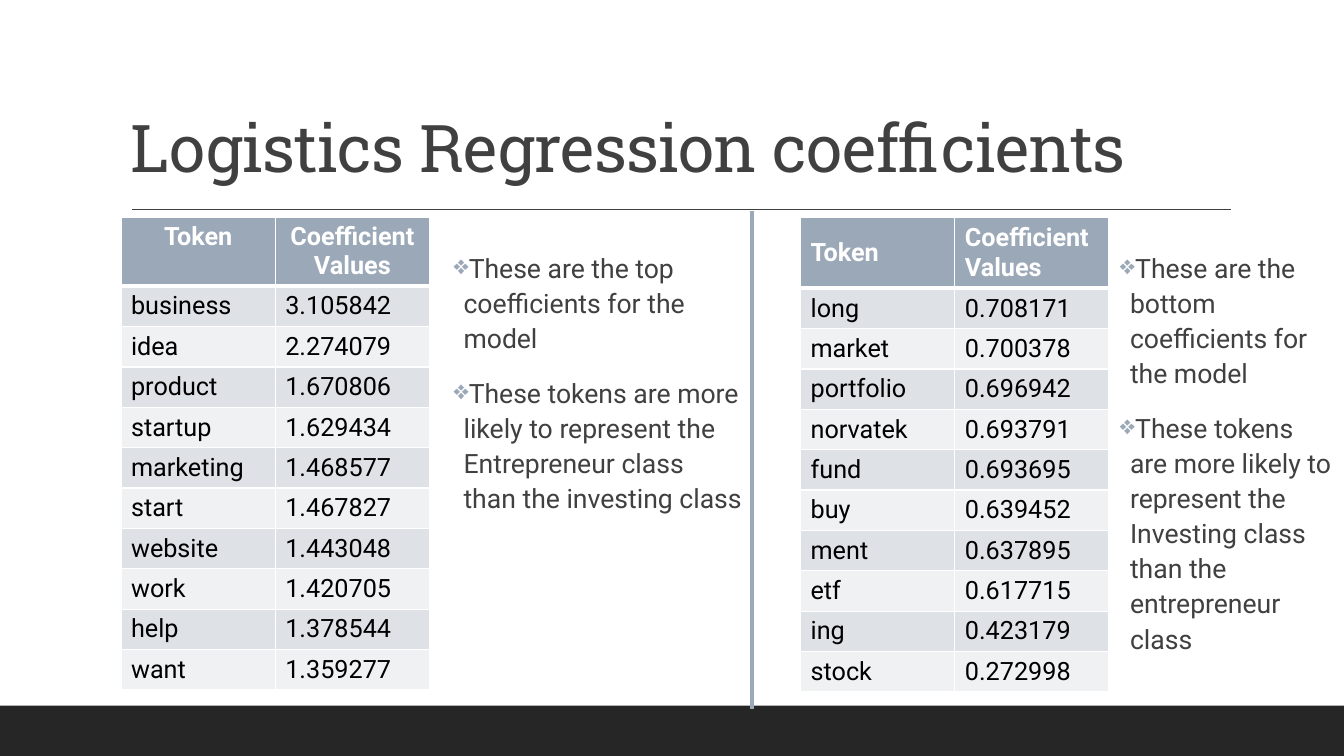
from lxml.etree import SubElement
from pptx import Presentation
from pptx.dml.color import RGBColor
from pptx.enum.shapes import MSO_CONNECTOR, MSO_SHAPE
from pptx.enum.text import MSO_ANCHOR, PP_ALIGN
from pptx.oxml import parse_xml
from pptx.oxml.ns import nsdecls, qn
from pptx.util import Inches, Pt

DARK, BLUE, WHITE = "404040", "9BA8B7", "FFFFFF"
BANDS = ["DEE1E6", "EFF1F3"]
HEAD = ("Token", "Coefficient Values")
TOP = [("business", "3.105842"), ("idea", "2.274079"), ("product", "1.670806"),
       ("startup", "1.629434"), ("marketing", "1.468577"), ("start", "1.467827"),
       ("website", "1.443048"), ("work", "1.420705"), ("help", "1.378544"),
       ("want", "1.359277")]
LOW = [("long", "0.708171"), ("market", "0.700378"), ("portfolio", "0.696942"),
       ("norvatek", "0.693791"), ("fund", "0.693695"), ("buy", "0.639452"),
       ("ment", "0.637895"), ("etf", "0.617715"), ("ing", "0.423179"),
       ("stock", "0.272998")]


def color(code):
    return RGBColor.from_string(code)


class Deck:
    """Holds the style and the current slide, and draws each kind of element."""

    def __init__(self, slide, font, title_font):
        self.shapes = slide.shapes
        self.font = font
        self.title_font = title_font

    def style(self, para, size, code, bold=False, font=None):
        for run in para.runs:
            run.font.size = Pt(size)
            run.font.name = font or self.font
            run.font.bold = bold
            run.font.color.rgb = color(code)

    def bar(self, left, top, width, height, code):
        bar = self.shapes.add_shape(MSO_SHAPE.RECTANGLE, Inches(left), Inches(top),
                                    Inches(width), Inches(height))
        bar.shadow.inherit = False
        bar.fill.solid()
        bar.fill.fore_color.rgb = color(code)
        bar.line.fill.background()

    def line(self, x1, y1, x2, y2, code, width):
        line = self.shapes.add_connector(MSO_CONNECTOR.STRAIGHT, Inches(x1), Inches(y1),
                                         Inches(x2), Inches(y2))
        line.line.color.rgb = color(code)
        line.line.width = Pt(width)
        SubElement(line._element.spPr, qn("a:effectLst"))

    def box(self, left, top, width, height):
        box = self.shapes.add_textbox(Inches(left), Inches(top), Inches(width), Inches(height))
        box.text_frame.word_wrap = True
        return box.text_frame

    def title(self, text, left, top, width, height):
        frame = self.box(left, top, width, height)
        frame.vertical_anchor = MSO_ANCHOR.BOTTOM
        frame.text = text
        para = frame.paragraphs[0]
        para.line_spacing = 0.9
        self.style(para, 47, DARK, font=self.title_font)
        para.runs[0].font._element.set("spc", "-50")

    def bullets(self, items, left, top, width, height):
        frame = self.box(left, top, width, height)
        frame.text = "\n".join(items)
        for para in frame.paragraphs:
            para.line_spacing = 1.1
            para.space_before, para.space_after = Pt(12), Pt(2)
            self.style(para, 19, DARK)
            props = para._p.get_or_add_pPr()
            props.set("marL", str(Inches(0.1)))
            props.set("indent", str(-Inches(0.1)))
            tint = SubElement(SubElement(props, qn("a:buClr")), qn("a:srgbClr"))
            tint.set("val", BLUE)
            SubElement(props, qn("a:buChar")).set("char", "❖")

    def borders(self, cell, row):
        props = cell._tc.get_or_add_tcPr()
        widths = {"L": 1, "R": 1, "T": 3 if row == 1 else 1, "B": 1 if row else 3}
        for spot, (side, width) in enumerate(widths.items()):
            props.insert(spot, parse_xml(
                f'<a:ln{side} {nsdecls("a")} w="{Pt(width)}"><a:solidFill>'
                f'<a:srgbClr val="{WHITE}"/></a:solidFill></a:ln{side}>'))

    def table(self, rows, left, top, first, rest, align, anchor):
        rows = [HEAD] + rows
        table = self.shapes.add_table(len(rows), 2, Inches(left), Inches(top), Inches(3.06),
                                      Inches(first + rest * (len(rows) - 1))).table
        table.horz_banding = False
        for col in table.columns:
            col.width = Inches(1.53)
        for r, values in enumerate(rows):
            table.rows[r].height = Inches(rest if r else first)
            for c, text in enumerate(values):
                cell = table.cell(r, c)
                cell.text = text
                cell.margin_top = cell.margin_bottom = Inches(0.05 if r else 0.04)
                cell.vertical_anchor = MSO_ANCHOR.MIDDLE if r else anchor
                cell.fill.solid()
                cell.fill.fore_color.rgb = color(BANDS[(r - 1) % 2] if r else BLUE)
                para = cell.text_frame.paragraphs[0]
                para.alignment = PP_ALIGN.LEFT if r else align
                self.style(para, 18, "000000" if r else WHITE, bold=r == 0)
                self.borders(cell, r)


def main():
    show = Presentation()
    show.slide_width, show.slide_height = Inches(13.33), Inches(7.5)
    deck = Deck(show.slides.add_slide(show.slide_layouts[6]), "Roboto", "Roboto Slab")
    deck.bar(0, 7, 13.33, 0.5, "262626")
    deck.line(1.31, 2.08, 12.21, 2.08, DARK, 1)
    deck.title("Logistics Regression coefficients", 1.2, 0.31, 11, 1.59)
    deck.table(TOP, 1.2, 2.16, 0.68, 0.39, PP_ALIGN.CENTER, MSO_ANCHOR.TOP)
    deck.bullets(["These are the top coefficients for the model",
                  "These tokens are more likely to represent the Entrepreneur class "
                  "than the investing class"], 4.4, 2.42, 3.06, 2.73)
    deck.line(7.46, 2.09, 7.46, 7.03, BLUE, 3)
    deck.table(LOW, 7.94, 2.16, 0.7, 0.4, PP_ALIGN.LEFT, MSO_ANCHOR.MIDDLE)
    deck.bullets(["These are the bottom coefficients for the model",
                  "These tokens are more likely to represent the Investing class "
                  "than the entrepreneur class"], 11.01, 2.42, 2.33, 4.14)
    show.save("out.pptx")


if __name__ == "__main__":
    main()
